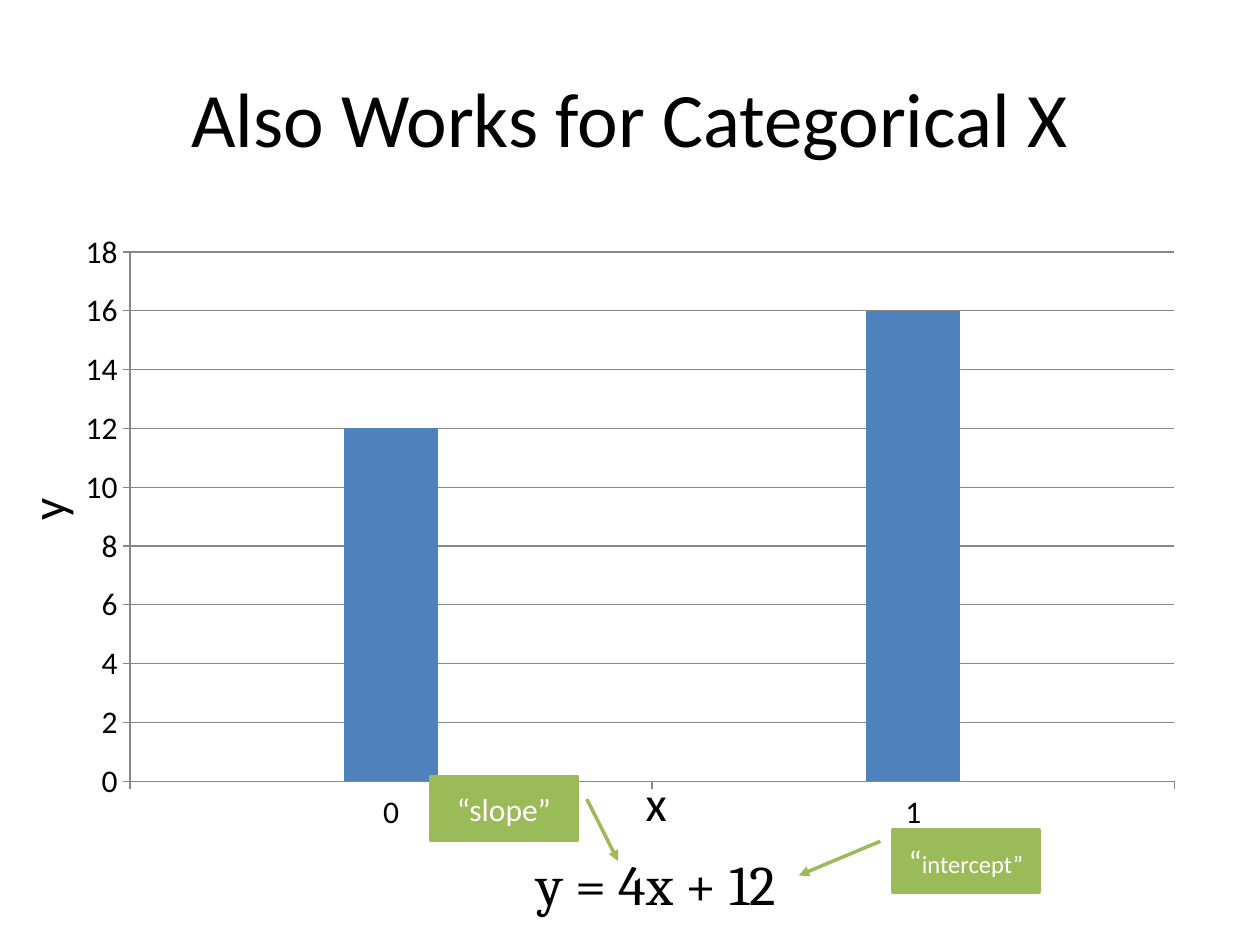
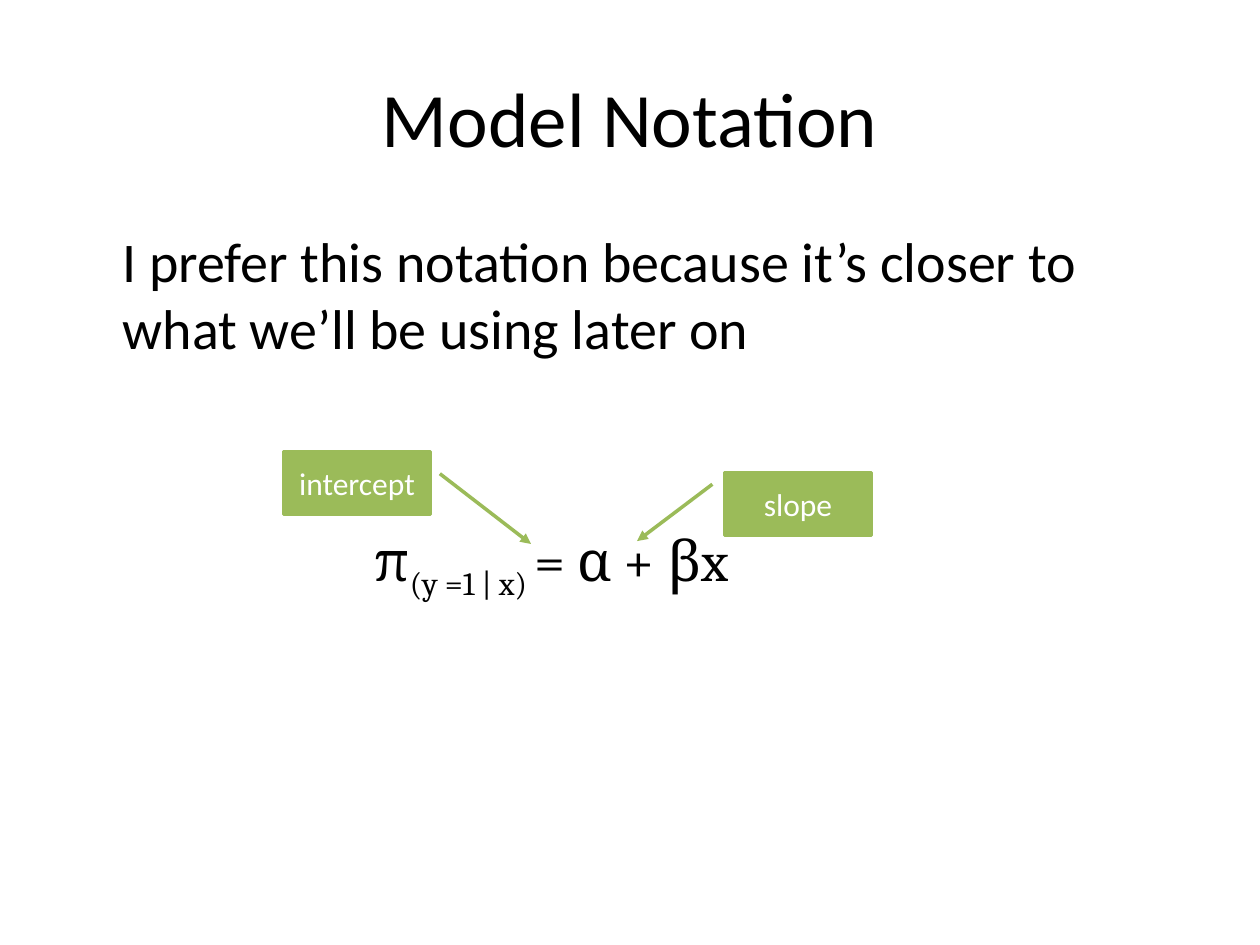
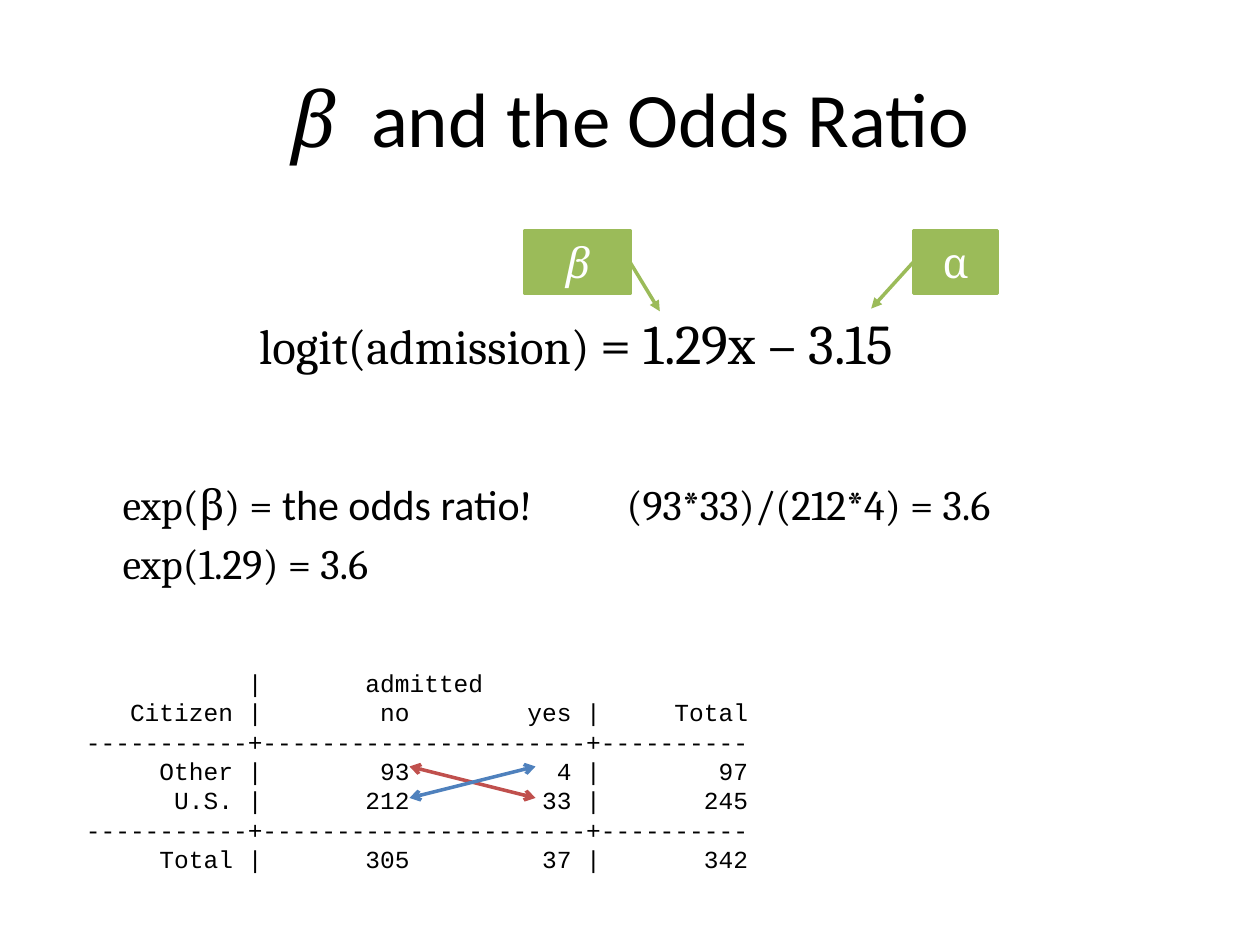
import pptx
import pptx.chart.data
import pptx.dml.color
import pptx.enum.chart
import pptx.enum.shapes
import pptx.enum.text
import pptx.oxml
import pptx.oxml.ns
import pptx.util

Pt = pptx.util.Pt
ALIGN = pptx.enum.text.PP_ALIGN
ANCHOR = pptx.enum.text.MSO_ANCHOR
BLACK, WHITE, GRAY = "000000", "FFFFFF", "878787"
BLUE, RED, GREEN = "4F81BD", "C0504D", "9BBB59"
SANS, SERIF, MONO = "Calibri", "Cambria", "Courier New"
TITLE_BOX = (36, 21.6, 648, 90)
BODY_BOX = (36, 126, 648, 356.4)
INDENT = 27
TAB = 72


def rgb(color):
    """Turn a hex string into a colour."""
    return pptx.dml.color.RGBColor.from_string(color)


def points(box):
    """Turn a sequence of numbers into point lengths."""
    return [Pt(v) for v in box]


def add_run(p, text, size, font=SANS, color=BLACK, italic=False, baseline=0):
    """Append one formatted run to a paragraph."""
    r = p.add_run()
    r.text = text
    r.font.size = Pt(size)
    r.font.name = font
    r.font.italic = italic
    r.font.color.rgb = rgb(color)
    if baseline:
        r.font._element.set("baseline", str(baseline * 1000))


def add_paragraph(tf, runs, first=False, align=ALIGN.LEFT, before=0, indent=0):
    """Fill the first paragraph or append one, from a list of run tuples."""
    p = tf.paragraphs[0] if first else tf.add_paragraph()
    p.alignment = align
    p.space_before = Pt(before)
    if indent:
        p._p.get_or_add_pPr().set("marL", str(Pt(indent)))
    for run in runs:
        add_run(p, *run)


def add_text(s, box, lines, align=ALIGN.LEFT, anchor=ANCHOR.TOP, top=3.6):
    """Place a text box; each line is (runs, space before, indent)."""
    sp = s.shapes.add_textbox(*points(box))
    tf = sp.text_frame
    tf.word_wrap = True
    tf.vertical_anchor = anchor
    tf.margin_top = Pt(top)
    for i, (runs, before, indent) in enumerate(lines):
        add_paragraph(tf, runs, i == 0, align, before, indent)
    return sp


def add_label(s, box, text, size, font=SANS):
    """Place one centred line of text."""
    return add_text(s, box, [([(text, size, font)], 0, 0)], ALIGN.CENTER)


def add_title(s, runs):
    """Place the slide title."""
    add_text(s, TITLE_BOX, [(runs, 0, 0)], ALIGN.CENTER, ANCHOR.MIDDLE)


def add_arrowheads(sp, **ends):
    """Put heads on a line, given as headEnd and tailEnd types in that order."""
    ln = sp.element.spPr.find(pptx.oxml.ns.qn("a:ln"))
    for tag, kind in ends.items():
        ns = pptx.oxml.ns.nsdecls("a")
        ln.append(pptx.oxml.parse_xml(f'<a:{tag} {ns} type="{kind}"/>'))


def add_callout(s, box, adjustments, runs):
    """Place a green box whose pointer is set by y, x of its start and end."""
    kind = pptx.enum.shapes.MSO_SHAPE.LINE_CALLOUT_1
    sp = s.shapes.add_shape(kind, *points(box))
    for i, value in enumerate(adjustments):
        sp.adjustments[i] = value
    sp.shadow.inherit = False
    sp.fill.solid()
    sp.fill.fore_color.rgb = rgb(GREEN)
    sp.line.color.rgb = rgb(GREEN)
    sp.line.width = Pt(2)
    add_arrowheads(sp, tailEnd="triangle")
    tf = sp.text_frame
    tf.word_wrap = True
    tf.vertical_anchor = ANCHOR.MIDDLE
    add_paragraph(tf, runs, True, ALIGN.CENTER)


def add_double_arrow(s, start, end, color):
    """Draw a line with open heads at both ends."""
    kind = pptx.enum.shapes.MSO_CONNECTOR.STRAIGHT
    sp = s.shapes.add_connector(kind, *points(start + end))
    sp.line.color.rgb = rgb(color)
    sp.line.width = Pt(2)
    add_arrowheads(sp, headEnd="arrow", tailEnd="arrow")
    ns = pptx.oxml.ns.nsdecls("a")
    sp.element.spPr.append(pptx.oxml.parse_xml(f"<a:effectLst {ns}/>"))


def add_column_chart(s, box):
    """Place the column chart of y for both values of x."""
    data = pptx.chart.data.CategoryChartData()
    data.categories = ["0", "1"]
    data.add_series("Series 1", [12, 16])
    kind = pptx.enum.chart.XL_CHART_TYPE.COLUMN_STACKED
    chart = s.shapes.add_chart(kind, *points(box), data).chart
    chart.has_legend = False
    chart.has_title = False
    chart.font.size = Pt(18)
    chart.font.name = SANS
    chart.font.color.rgb = rgb(BLACK)
    plot = chart.plots[0]
    plot.gap_width = 454
    plot.overlap = 100
    plot.vary_by_categories = False
    fill = plot.series[0].format.fill
    fill.solid()
    fill.fore_color.rgb = rgb(BLUE)
    values = chart.value_axis
    values.minimum_scale, values.maximum_scale, values.major_unit = 0, 18, 2
    values.has_major_gridlines = True
    for part in (values, chart.category_axis, values.major_gridlines):
        part.format.line.color.rgb = rgb(GRAY)
        part.format.line.width = Pt(0.75)
    for axis in (values, chart.category_axis):
        axis.major_tick_mark = pptx.enum.chart.XL_TICK_MARK.OUTSIDE


def add_crosstab(s, box):
    """Place the fixed-width cross table with its diagonal arrows."""
    rule = "-" * 11 + "+" + "-" * 22 + "+" + "-" * 10
    rows = [("Other", 93, 4, 97), ("U.S.", 212, 33, 245), ("Total", 305, 37, 342)]
    head = f"{'Citizen':>10} |{'no':>10}{'yes':>11} |{'Total':>10}"
    body = [f"{name:>10} |{no:>10}{yes:>11} |{total:>10}" for name, no, yes, total in rows]
    lines = [f"{'|':>12}{'admitted':>15}", head, rule, *body[:2], rule, body[2]]
    add_text(s, box, [([(line, 14, MONO)], 0, 0) for line in lines])
    left, top = box[0] + 192, box[1] + 60
    right, bottom = left + 72, top + 18
    add_double_arrow(s, (left, top), (right, bottom), RED)
    add_double_arrow(s, (left, bottom), (right, top), BLUE)


def build_categorical(s):
    """Build the slide with the chart and its line equation."""
    add_title(s, [("Also Works for Categorical X", 44)])
    add_column_chart(s, BODY_BOX)
    add_label(s, (180, 481.7, 390, 46), "y = 4x + 12", 32, SERIF)
    add_label(s, (306, 438, 138, 41), "x", 28)
    add_label(s, (-42.5, 270.7, 138, 41), "y", 28).rotation = 270
    add_callout(s, (510, 474, 84, 36), (0.188, -0.083, 0.73, -0.638),
                [("“", 18, SANS, WHITE), ("intercept”", 14, SANS, WHITE)])
    add_callout(s, (246, 444, 84, 36), (0.353, 1.064, 1.337, 1.277),
                [("“slope”", 18, SANS, WHITE)])


def build_notation(s):
    """Build the slide with the model notation."""
    add_title(s, [("Model Notation", 44)])
    intro = "I prefer this notation because it’s closer to what we’ll be using later on"
    equation = [("π", 32, SERIF),
                ("(y =1 | x) ", 32, SERIF, BLACK, False, -25),
                ("= α + βx", 32, SERIF)]
    add_text(s, BODY_BOX, [([(intro, 32)], 0, INDENT),
                           (equation, 94, INDENT + 2 * TAB)])
    add_callout(s, (414, 270, 84, 36), (0.188, -0.083, 1.089, -0.595),
                [("slope", 18, SANS, WHITE)])
    add_callout(s, (162, 258, 84, 36), (0.353, 1.064, 1.469, 1.684),
                [("intercept", 18, SANS, WHITE)])


def build_odds_ratio(s):
    """Build the slide with the odds ratio and the cross table."""
    add_title(s, [("β", 44, SERIF, BLACK, True), ("  and the Odds Ratio", 44)])
    equation = [("logit(admission) ", 28, SERIF), ("= 1.29x – 3.15", 32, SERIF)]
    ratio = [("exp(β) = ", 24, SERIF), ("the odds ratio", 24),
             ("!\t\t(93*33)/(212*4) = 3.6", 24, SERIF)]
    add_text(s, BODY_BOX, [(equation, 0, INDENT + TAB + 6),
                           (ratio, 59, INDENT),
                           ([("exp(1.29) = 3.6", 24, SERIF)], 4.8, INDENT)], top=50)
    add_callout(s, (300, 131.8, 60, 36), (0.514, 1.005, 1.281, 1.284),
                [("β", 24, SERIF, WHITE, True)])
    add_callout(s, (522, 131.8, 48, 36), (0.507, -0.007, 1.238, -0.504),
                [("α", 24, SERIF, WHITE)])
    add_crosstab(s, (42, 378, 408, 126))


prs = pptx.Presentation()
prs.slide_width, prs.slide_height = Pt(720), Pt(540)
for build in (build_categorical, build_notation, build_odds_ratio):
    build(prs.slides.add_slide(prs.slide_layouts[6]))
prs.save("out.pptx")
